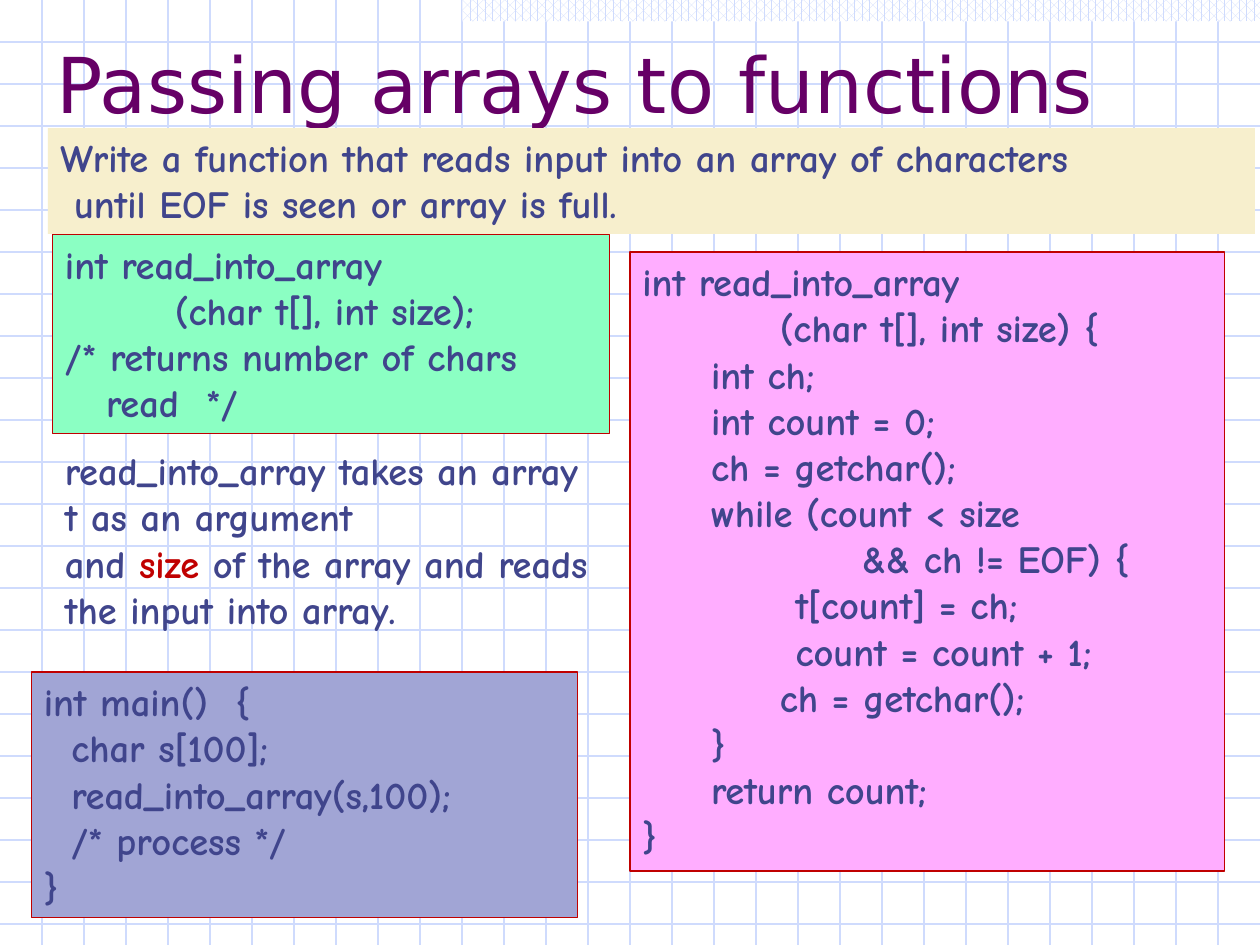
from dataclasses import dataclass

from lxml import etree
from pptx import Presentation
from pptx.dml.color import RGBColor
from pptx.enum.dml import MSO_PATTERN
from pptx.enum.shapes import MSO_CONNECTOR, MSO_SHAPE
from pptx.enum.text import MSO_ANCHOR, PP_ALIGN
from pptx.oxml.ns import qn
from pptx.util import Inches, Pt

RECT = MSO_SHAPE.RECTANGLE
STRAIGHT = MSO_CONNECTOR.STRAIGHT
DOTS = MSO_PATTERN.PERCENT_60
TOP, BOTTOM = MSO_ANCHOR.TOP, MSO_ANCHOR.BOTTOM
LEFT = PP_ALIGN.LEFT
SLIDE_W, SLIDE_H = Inches(10), Inches(7.5)
GRID_STEP = SLIDE_W // 30


@dataclass(frozen=True)
class Theme:
    title_font: str = "DejaVu Sans"
    body_font: str = "Comic Neue"
    title_size: int = 44
    body_size: int = 22
    line_width: float = 0.75
    code_step: float = 7.85  # points of indent for one code column
    title: str = "660066"
    ink: str = "40458C"
    accent: str = "C00000"
    paper: str = "FFFFFF"
    grid: str = "CFDBFD"
    task: str = "F7EFCD"
    prototype: str = "8BFFC3"
    caller: str = "A1A5D5"
    definition: str = "FFADFF"


THEME = Theme()

# Boxes are left, top, width, height in percent of the slide.
PAGE = (0, 0, 100, 100)
BAND = (36.7, 0, 63.3, 2.27)
TITLE = (3.54, 0.67, 93.7, 13.6)
TASK = (3.8, 13.56, 95.8, 11.2)
PROTOTYPE = (4.17, 24.83, 44.2, 21.07)
EXPLANATION = (4.17, 46.67, 44.2, 21.07)
CALLER = (2.5, 71.11, 43.33, 26)
DEFINITION = (50, 26.67, 47.2, 65.5)

# Code is a list of (indent in columns, text).
PROTOTYPE_CODE = [
    (0, "int read_into_array"),
    (8, "(char t[], int size);"),
    (0, "/* returns number of chars"),
    (3, "read  */"),
]
CALLER_CODE = [
    (0, "int main()  {"),
    (2, "char s[100];"),
    (2, "read_into_array(s,100);"),
    (2, "/* process */"),
    (0, "}"),
]
DEFINITION_CODE = [
    (0, "int read_into_array"),
    (10, "(char t[], int size) {"),
    (5, "int ch;"),
    (5, "int count = 0;"),
    (5, "ch = getchar();"),
    (5, "while (count < size"),
    (16, "&& ch != EOF) {"),
    (11.15, "t[count] = ch;"),
    (11.15, "count = count + 1;"),
    (10, "ch = getchar();"),
    (5, "}"),
    (5, "return count;"),
    (0, "}"),
]


def rgb(value):
    return RGBColor.from_string(value)


def place(box):
    left, top, width, height = box
    return (int(SLIDE_W * left / 100), int(SLIDE_H * top / 100),
            int(SLIDE_W * width / 100), int(SLIDE_H * height / 100))


def add_panel(s, box, fill, line=None):
    sp = s.shapes.add_shape(RECT, *place(box))
    sp.shadow.inherit = False
    sp.fill.solid()
    sp.fill.fore_color.rgb = rgb(fill)
    if line:
        sp.line.color.rgb = rgb(line)
        sp.line.width = Pt(THEME.line_width)
    else:
        sp.line.fill.background()
    return sp


def write(sp, lines, *, size=THEME.body_size, font=THEME.body_font,
          color=THEME.ink, bold=True, anchor=TOP):
    """Write (indent, text) lines; a text may be a list of (words, colour) runs."""
    tf = sp.text_frame
    tf.word_wrap = True
    tf.vertical_anchor = anchor
    for i, (indent, text) in enumerate(lines):
        p = tf.add_paragraph() if i else tf.paragraphs[0]
        p.alignment = LEFT
        if indent:
            p._p.get_or_add_pPr().set("marL", str(Pt(indent * THEME.code_step)))
        for words, run_color in [(text, color)] if isinstance(text, str) else text:
            r = p.add_run()
            r.text = words
            r.font.size = Pt(size)
            r.font.name = font
            r.font.bold = bold
            r.font.color.rgb = rgb(run_color)


def add_grid_line(s, *ends):
    line = s.shapes.add_connector(STRAIGHT, *ends)
    line.line.color.rgb = rgb(THEME.grid)
    line.line.width = Pt(THEME.line_width)
    etree.SubElement(line._element.spPr, qn("a:effectLst"))


def add_grid(s, box):
    left, top, width, height = place(box)
    right, bottom = left + width, top + height
    for y in range(top + GRID_STEP, bottom, GRID_STEP):
        add_grid_line(s, left, y, right, y)
    for x in range(left + GRID_STEP, right, GRID_STEP):
        add_grid_line(s, x, top, x, bottom)


def add_band(s, box):
    sp = add_panel(s, box, THEME.paper)
    sp.fill.patterned()
    sp.fill.pattern = DOTS
    sp.fill.fore_color.rgb = rgb(THEME.grid)
    sp.fill.back_color.rgb = rgb(THEME.paper)


def add_title(s, box):
    write(s.shapes.add_textbox(*place(box)), [(0, "Passing arrays to functions")],
          size=THEME.title_size, font=THEME.title_font, color=THEME.title,
          bold=False, anchor=BOTTOM)


def add_task(s, box):
    write(add_panel(s, box, THEME.task), [
        (0, "Write a function that reads input into an array of characters"),
        (1, "until EOF is seen or array is full."),
    ])


def add_code(s, box, code, fill):
    write(add_panel(s, box, fill, THEME.accent), code)


def add_explanation(s, box):
    write(s.shapes.add_textbox(*place(box)), [
        (0, "read_into_array takes an array t as an argument"),
        (0, [("and ", THEME.ink), ("size", THEME.accent),
             (" of the array and reads the input into array.", THEME.ink)]),
    ])


def main():
    prs = Presentation()
    prs.slide_width, prs.slide_height = SLIDE_W, SLIDE_H
    s = prs.slides.add_slide(prs.slide_layouts[6])
    add_grid(s, PAGE)
    add_band(s, BAND)
    add_title(s, TITLE)
    add_task(s, TASK)
    add_code(s, PROTOTYPE, PROTOTYPE_CODE, THEME.prototype)
    add_code(s, CALLER, CALLER_CODE, THEME.caller)
    add_code(s, DEFINITION, DEFINITION_CODE, THEME.definition)
    add_explanation(s, EXPLANATION)
    prs.save("out.pptx")


if __name__ == "__main__":
    main()
